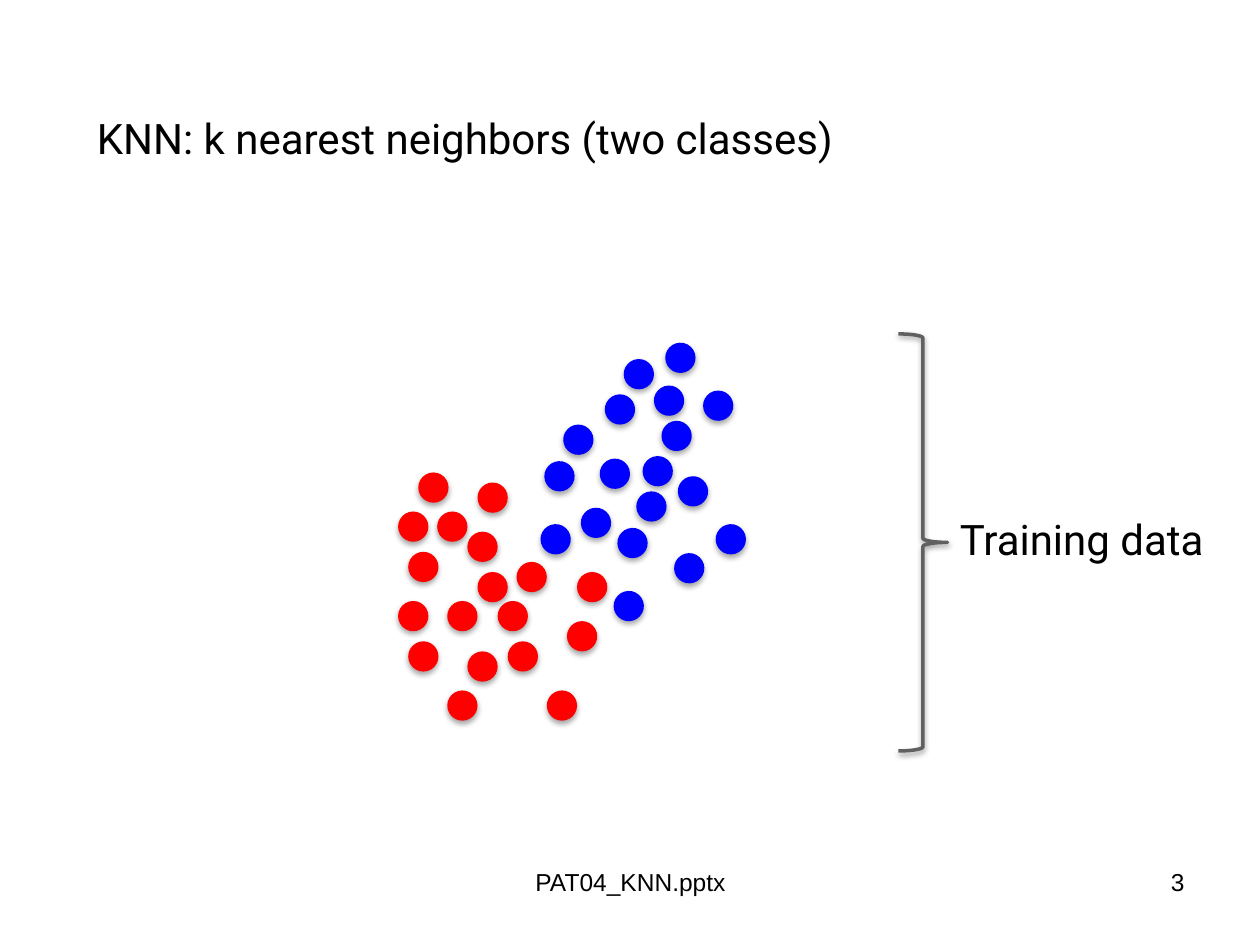
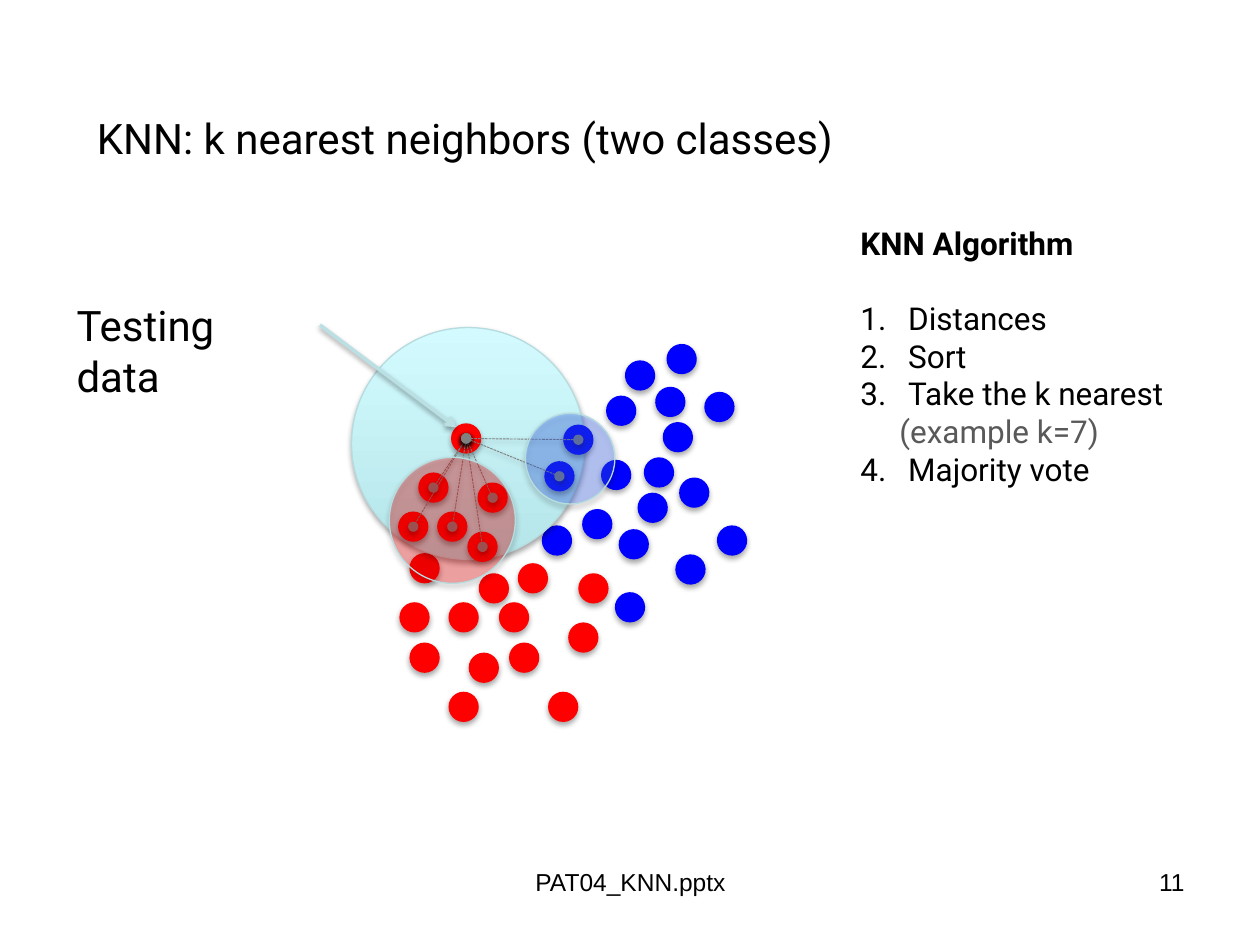
from dataclasses import dataclass

from lxml import etree
from pptx import Presentation
from pptx.dml.color import RGBColor
from pptx.enum.dml import MSO_LINE
from pptx.enum.shapes import MSO_CONNECTOR, MSO_SHAPE
from pptx.enum.text import MSO_AUTO_SIZE, PP_ALIGN
from pptx.oxml.ns import qn
from pptx.util import Emu, Pt

PX = 9144  # EMU per px, 100 px to the inch
OVAL, BRACE = MSO_SHAPE.OVAL, MSO_SHAPE.RIGHT_BRACE
STRAIGHT = MSO_CONNECTOR.STRAIGHT
LEFT, CENTER, RIGHT = PP_ALIGN.LEFT, PP_ALIGN.CENTER, PP_ALIGN.RIGHT
FIT_SHAPE, NO_FIT = MSO_AUTO_SIZE.SHAPE_TO_FIT_TEXT, MSO_AUTO_SIZE.NONE
SYS_DASH = MSO_LINE.SQUARE_DOT
RIGHT_SIDE = 3


@dataclass(frozen=True)
class Theme:
    text: str = "000000"
    muted: str = "595959"
    red: str = "FF0000"
    blue: str = "0000FF"
    soft_blue: str = "3366FF"
    brace: str = "606060"
    link: str = "808080"
    arrow: str = "BBE0E3"
    rim: str = "B6DCDF"
    area: tuple = ("B5E5E9", "D3FBFF")
    font: str = "Roboto"
    footer_font: str = "Arial"
    heading: int = 24
    body: int = 18
    footer: int = 14


THEME = Theme()

# Dot positions, relative to the scatter box
DOT = 24
QUERY = (42, 64)
RED_NEAR = [(16, 103), (0, 134), (63, 111), (55, 150), (31, 134)]
RED_FAR = [(8, 166), (39, 205), (94, 174), (87, 237), (79, 205), (142, 182), (118, 276),
           (134, 221), (8, 237), (0, 205), (63, 182), (39, 276), (55, 245)]
BLUE_NEAR = [(116, 94), (131, 65)]
BLUE_FAR = [(212, 0), (164, 41), (179, 13), (242, 38), (160, 92), (209, 62), (222, 106),
            (174, 147), (189, 118), (252, 144), (171, 197), (219, 167), (203, 34),
            (194, 90), (113, 144), (145, 131)]
SCATTER = (316, 272)

STEPS = [("Distances", 1), ("Sort", 1), ("Take the k nearest", 1),
         ("(example k=7)", None), ("Majority vote", 4)]


def emu(*lengths):
    return [Emu(length * PX) for length in lengths]


def rgb(color):
    return RGBColor.from_string(color)


def add_xml(parent, tag, **attributes):
    return etree.SubElement(parent, qn(tag), attributes)


def cast_shadow(shape, alpha, distance):
    """Soft black shadow straight below; call after fill and line are set."""
    properties = shape.element.spPr
    effects = properties.find(qn("a:effectLst"))
    if effects is None:
        effects = add_xml(properties, "a:effectLst")
    outer = add_xml(effects, "a:outerShdw", blurRad="40000", dist=str(distance),
                    dir="5400000", rotWithShape="0")
    color = add_xml(outer, "a:srgbClr", val="000000")
    add_xml(color, "a:alpha", val=str(alpha * 1000))


def style_para(para, text, size=THEME.heading, color=THEME.text, font=THEME.font,
               bold=False, align=LEFT):
    para.alignment = align
    span = para.add_run()
    span.text = text
    span.font.size, span.font.name, span.font.bold = Pt(size), font, bold
    span.font.color.rgb = rgb(color)


def add_text(page, box, text, wrap=False, **style):
    label = page.shapes.add_textbox(*emu(*box))
    frame = label.text_frame
    frame.word_wrap = wrap
    frame.auto_size = NO_FIT if wrap else FIT_SHAPE
    style_para(frame.paragraphs[0], text, **style)
    return label


def add_figure(shapes, kind, box, fill=None, opacity=None, line=None, width=0.75,
               shadow=(35, 23000)):
    """Preset shape; a pair of colours as fill makes an upward gradient."""
    figure = shapes.add_shape(kind, *emu(*box))
    if fill is None:
        figure.fill.background()
    elif isinstance(fill, tuple):
        figure.fill.gradient()
        figure.fill.gradient_angle = 90
        for stop, color in zip(figure.fill.gradient_stops, fill):
            stop.color.rgb = rgb(color)
    else:
        figure.fill.solid()
        figure.fill.fore_color.rgb = rgb(fill)
    if opacity is not None:
        color = figure.element.spPr.find(qn("a:solidFill"))[0]
        add_xml(color, "a:alpha", val=str(opacity * 1000))
    if line:
        figure.line.color.rgb = rgb(line)
        figure.line.width = Pt(width)
    else:
        figure.line.fill.background()
    figure.shadow.inherit = False
    cast_shadow(figure, *shadow)
    return figure


def add_line(page, start, end, color, width, dash=None, head=None, tail=None):
    connector = page.shapes.add_connector(STRAIGHT, *emu(*start, *end))
    connector.line.color.rgb = rgb(color)
    connector.line.width = Pt(width)
    if dash:
        connector.line.dash_style = dash
    outline = connector.element.spPr.find(qn("a:ln"))
    for tag, kind in (("a:headEnd", head), ("a:tailEnd", tail)):
        if kind:
            add_xml(outline, tag, type=kind)
    cast_shadow(connector, 38, 20000)
    return connector


def add_dots(shapes, origin, places, color, rotation=0):
    left, top = origin
    for x, y in places:
        dot = add_figure(shapes, OVAL, (left + x, top + y, DOT, DOT), fill=color)
        dot.rotation = rotation


def add_reds(shapes, origin, places):
    add_dots(shapes, origin, places, THEME.red)


def add_blues(shapes, origin, places):
    add_dots(shapes, origin, places, THEME.blue, rotation=42.6)


def add_frame(deck, number):
    """Blank page with the shared title and footer."""
    page = deck.slides.add_slide(deck.slide_layouts[6])
    add_text(page, (67, 84, 605, 50), "KNN: k nearest neighbors (two classes)")
    footer = dict(wrap=True, size=THEME.footer, font=THEME.footer_font)
    add_text(page, (342, 683, 317, 52), "PAT04_KNN.pptx", align=CENTER, **footer)
    add_text(page, (717, 683, 233, 52), str(number), align=RIGHT, **footer)
    return page


def add_neighborhood(page, origin):
    """Search area, nearest dots and their links to the query dot."""
    left, top = origin
    add_figure(page.shapes, OVAL, (left - 37, top - 12, 185, 184),
               fill=THEME.area, line=THEME.rim)
    add_reds(page.shapes, origin, RED_NEAR + [QUERY])
    add_blues(page.shapes, origin, BLUE_NEAR)
    half = DOT // 2
    hub = (left + QUERY[0] + half, top + QUERY[1] + half)
    for x, y in RED_NEAR + BLUE_NEAR:
        add_line(page, hub, (left + x + half, top + y + half), THEME.link, 0.5,
                 dash=SYS_DASH, head="oval", tail="oval")


def add_class_areas(page, origin):
    left, top = origin
    for box, color in (((left - 7, top + 91, 100, 100), THEME.red),
                       ((left + 101, top + 56, 71, 72), THEME.soft_blue)):
        add_figure(page.shapes, OVAL, box, fill=color, opacity=30, line=THEME.rim)


def add_algorithm(page, box):
    """Heading with numbered steps; a step without number is a muted remark."""
    frame = add_text(page, box, "KNN Algorithm", size=THEME.body, bold=True).text_frame
    for index, (text, start) in enumerate(STEPS):
        para = frame.add_paragraph()
        if index == 0:
            para.space_before = Pt(21)
        properties = para._p.get_or_add_pPr()
        if start:
            indent, hanging, color = 38, -38, THEME.text
            numbering = add_xml(properties, "a:buAutoNum", type="arabicPeriod")
            if start > 1:
                numbering.set("startAt", str(start))
        else:
            indent, hanging, color = 31, 0, THEME.muted
        properties.set("marL", str(indent * PX))
        properties.set("indent", str(hanging * PX))
        style_para(para, text, size=THEME.body, color=color)


def add_test_label(page, box, target):
    label = add_text(page, box, "Testing data")
    left, top, width, height = box
    arrow = add_line(page, (left + width, top + height // 2), target, THEME.arrow, 2,
                     tail="arrow")
    arrow.begin_connect(label, RIGHT_SIDE)


def build_training_page(deck):
    page = add_frame(deck, 3)
    add_reds(page.shapes.add_group_shape().shapes, SCATTER, RED_NEAR + RED_FAR)
    add_blues(page.shapes.add_group_shape().shapes, SCATTER, BLUE_NEAR + BLUE_FAR)
    add_figure(page.shapes, BRACE, (713, 265, 39, 331), line=THEME.brace, width=2,
               shadow=(38, 20000))
    add_text(page, (752, 403, 217, 50), "Training data")


def build_testing_page(deck):
    page = add_frame(deck, 11)
    left, top = SCATTER
    crowd = (left + 1, top + 1)
    add_reds(page.shapes, crowd, RED_FAR)
    add_blues(page.shapes.add_group_shape().shapes, crowd, BLUE_FAR)
    add_neighborhood(page, SCATTER)
    add_algorithm(page, (673, 173, 267, 252))
    add_class_areas(page, SCATTER)
    add_test_label(page, (51, 233, 203, 50), (left + QUERY[0] + 4, top + QUERY[1] + 3))


def main():
    deck = Presentation()
    deck.slide_width, deck.slide_height = emu(1000, 750)
    build_training_page(deck)
    build_testing_page(deck)
    deck.save("out.pptx")


if __name__ == "__main__":
    main()
